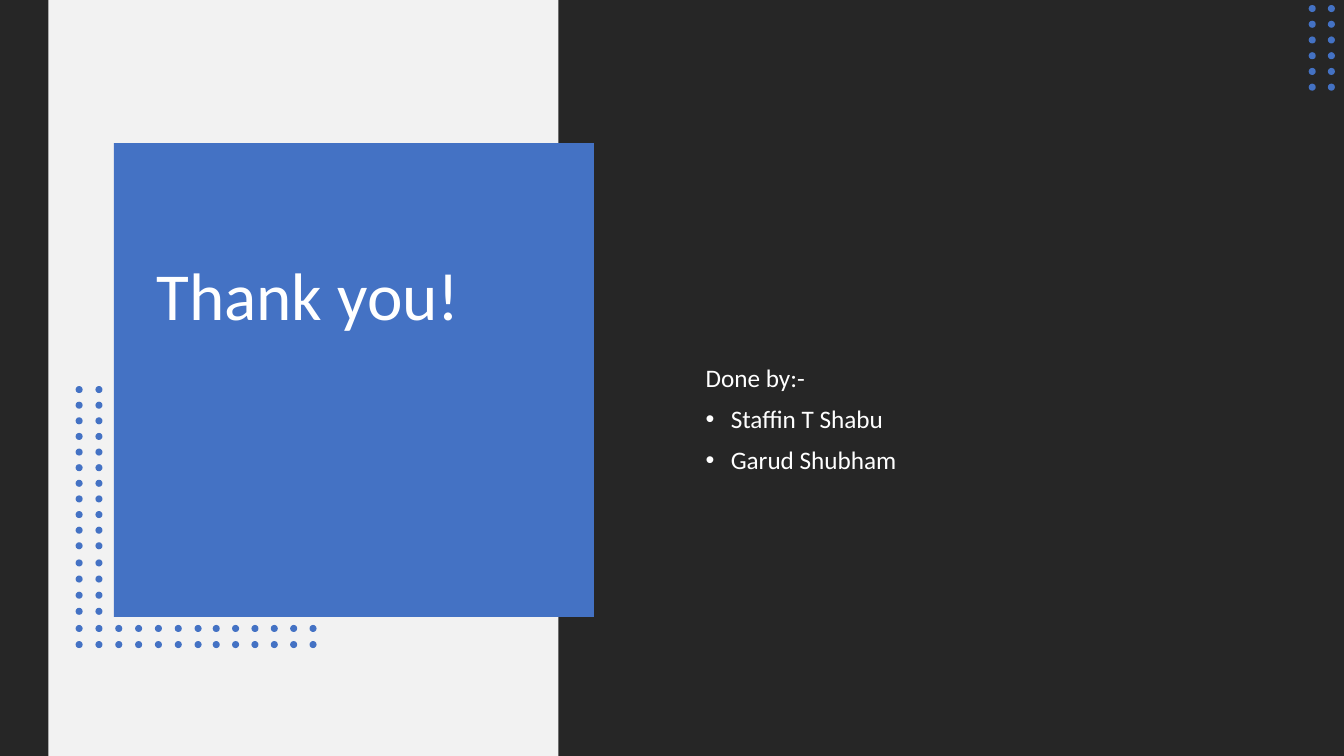
from itertools import product

from lxml.etree import SubElement
from pptx import Presentation
from pptx.dml.color import RGBColor
from pptx.enum.shapes import MSO_SHAPE as Preset
from pptx.enum.text import MSO_ANCHOR as Anchor, PP_ALIGN as Align
from pptx.oxml.ns import qn
from pptx.util import Inches, Pt

DARK, LIGHT, BLUE, WHITE = "262626", "F2F2F2", "4472C4", "FFFFFF"


def color(hex_code):
    return RGBColor.from_string(hex_code)


def spread(first, last, count):
    step = (last - first) / (count - 1)
    return [first + step * i for i in range(count)]


class ClosingSlide:
    font = "Calibri"
    dot_size = 0.07

    def __init__(self, deck):
        self.slide = deck.slides.add_slide(deck.slide_layouts[5])
        self.shapes = self.slide.shapes

    def shape(self, preset, left, top, width, height, fill, parent=None):
        item = (parent or self.shapes).add_shape(
            preset, Inches(left), Inches(top), Inches(width), Inches(height))
        item.shadow.inherit = False
        item.fill.solid()
        item.fill.fore_color.rgb = color(fill)
        item.line.fill.background()

    def panel(self, left, top, width, height, fill):
        self.shape(Preset.RECTANGLE, left, top, width, height, fill)

    def dots(self, places):
        group = self.shapes.add_group_shape()
        for left, top in places:
            self.shape(Preset.OVAL, left, top, self.dot_size, self.dot_size, BLUE, group.shapes)

    def frame(self, holder, left, top, width, height, margin_top=0.05, margin_bottom=0.05):
        holder.left, holder.top = Inches(left), Inches(top)
        holder.width, holder.height = Inches(width), Inches(height)
        frame = holder.text_frame
        frame.word_wrap = True
        frame.vertical_anchor = Anchor.MIDDLE
        frame.margin_top, frame.margin_bottom = Inches(margin_top), Inches(margin_bottom)
        return frame

    def line(self, paragraph, text, size, bullet=False):
        paragraph.alignment = Align.LEFT
        paragraph.line_spacing = 0.9
        paragraph.space_before = Pt(10)
        run = paragraph.add_run()
        run.text = text
        run.font.name = self.font
        run.font.size = Pt(size)
        run.font.color.rgb = color(WHITE)
        if bullet:
            props = paragraph._p.get_or_add_pPr()
            props.set("marL", str(Inches(0.25)))
            props.set("indent", str(-Inches(0.25)))
            SubElement(props, qn("a:buFont"), typeface="Arial")
            SubElement(props, qn("a:buChar"), char="•")

    def title(self, text, *place, **margins):
        heading = self.shapes.title
        self.shapes.element.append(heading.element)
        frame = self.frame(heading, *place, **margins)
        self.line(frame.paragraphs[0], text, 48)

    def credits(self, intro, names, *place, **margins):
        box = self.shapes.add_textbox(0, 0, 0, 0)
        frame = self.frame(box, *place, **margins)
        self.line(frame.paragraphs[0], intro, 18)
        for name in names:
            self.line(frame.add_paragraph(), name, 18, bullet=True)


def main():
    deck = Presentation()
    deck.slide_width, deck.slide_height = Inches(13.33), Inches(7.5)
    closing = ClosingSlide(deck)

    closing.panel(0, 0, 13.33, 7.5, DARK)
    closing.panel(0.48, 0, 5.06, 7.5, LIGHT)
    closing.panel(1.13, 1.42, 4.76, 4.7, BLUE)
    closing.title("Thank you!", 1.45, 1.74, 4.1, 4.05, margin_bottom=1.65)

    closing.dots(product([12.98, 13.17], spread(0.05, 0.83, 6)))

    columns = spread(0.75, 1.93, 7) + spread(2.11, 3.07, 6)
    side_rows = spread(3.83, 5.38, 11) + spread(5.55, 6.03, 4)
    bottom_rows = [6.2, 6.36]
    closing.dots([*product(columns[:2], side_rows), *product(columns, bottom_rows)])

    closing.credits("Done by:-", ["Staffin T Shabu", "Garud Shubham"],
                    6.9, 1.27, 5.47, 4.97, margin_top=0.88)
    deck.save("out.pptx")


if __name__ == "__main__":
    main()
